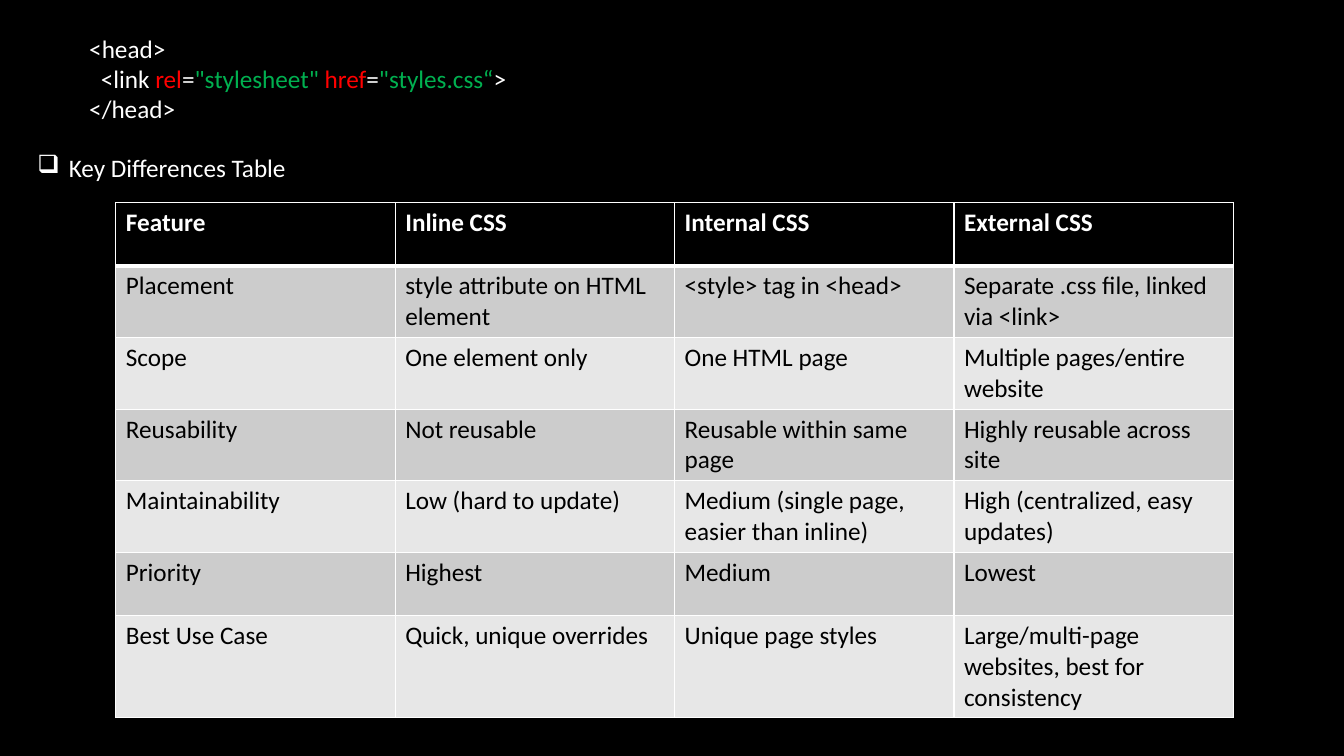
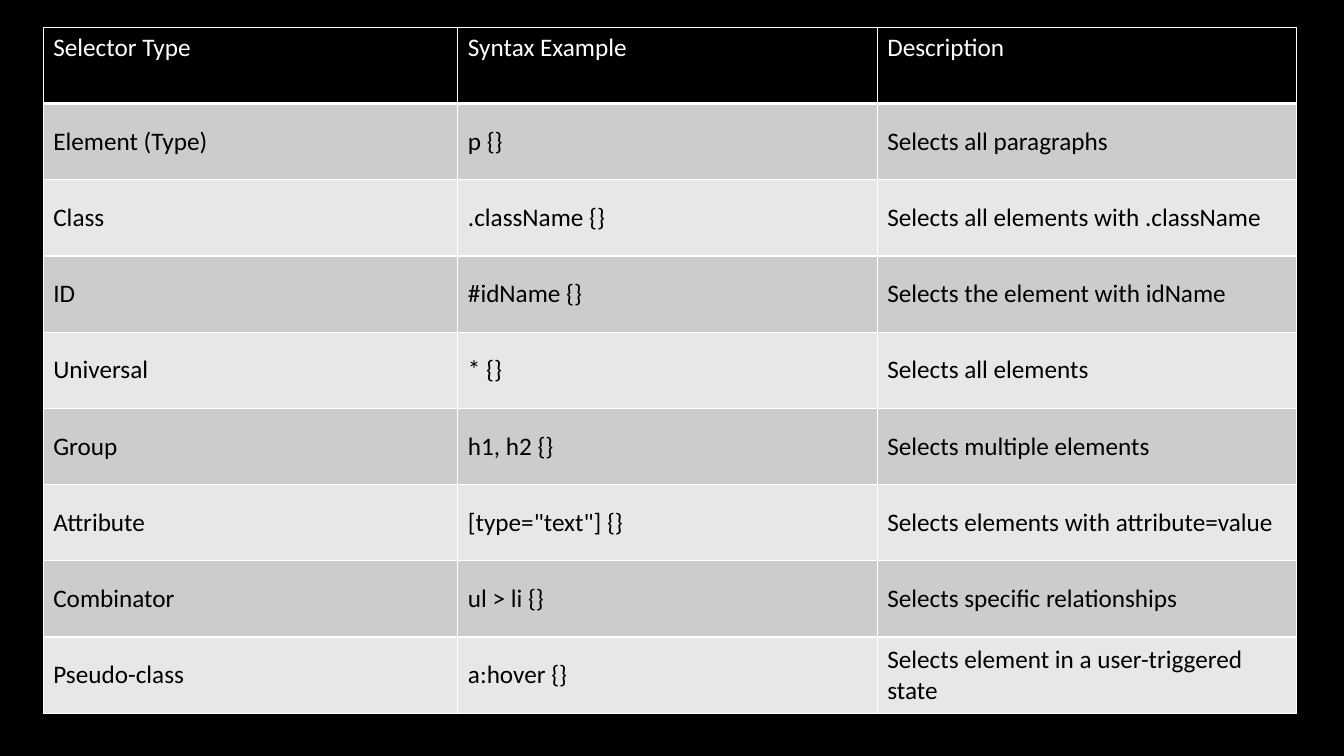
from dataclasses import dataclass

from lxml.etree import SubElement
from pptx import Presentation
from pptx.dml.color import RGBColor
from pptx.enum.shapes import MSO_SHAPE as Preset
from pptx.enum.text import MSO_ANCHOR as Anchor, MSO_AUTO_SIZE as AutoSize, PP_ALIGN as Align
from pptx.oxml.ns import qn
from pptx.slide import Slide
from pptx.table import _Cell as Cell
from pptx.util import Cm, Length, Pt

BLACK = RGBColor(0x00, 0x00, 0x00)
WHITE = RGBColor(0xFF, 0xFF, 0xFF)
RED = RGBColor(0xFF, 0x00, 0x00)
GREEN = RGBColor(0x00, 0xB0, 0x50)
BANDS = (RGBColor(0xCC, 0xCC, 0xCC), RGBColor(0xE7, 0xE7, 0xE7))
FONT = "Calibri"
TEXT_SIZE = Pt(18)
THIN, THICK = Pt(1), Pt(3)
TITLE_ONLY, BLANK = 5, 6


@dataclass(frozen=True)
class CodeLine:
    """A line of code as coloured pieces, with its indent."""
    pieces: tuple[tuple[str, RGBColor], ...]
    indent: Length = Cm(0)


@dataclass(frozen=True)
class Grid:
    """A table with its place, measures and rows, header first."""
    left: Length
    top: Length
    widths: tuple[Length, ...]
    row_height: Length
    rows: tuple[tuple[str, ...], ...]
    bold_header: bool = False
    body_anchor: Anchor = Anchor.TOP


LINK_CODE = (
    CodeLine((("<head>", WHITE),)),
    CodeLine((
        ("<link ", WHITE),
        ("rel", RED), ("=", WHITE), ('"stylesheet" ', GREEN),
        ("href", RED), ("=", WHITE), ('"styles.css“', GREEN),
        (">", WHITE),
    ), indent=Cm(0.29)),
    CodeLine((("</head>", WHITE),)),
)

DIFFERENCES = Grid(
    Cm(2.92), Cm(5.11), (Cm(7.04),) * 4, Cm(1.59),
    (
        ("Feature", "Inline CSS", "Internal CSS", "External CSS"),
        ("Placement", "style attribute on HTML element", "<style> tag in <head>",
         "Separate .css file, linked via <link>"),
        ("Scope", "One element only", "One HTML page", "Multiple pages/entire website"),
        ("Reusability", "Not reusable", "Reusable within same page", "Highly reusable across site"),
        ("Maintainability", "Low (hard to update)", "Medium (single page, easier than inline)",
         "High (centralized, easy updates)"),
        ("Priority", "Highest", "Medium", "Lowest"),
        ("Best Use Case", "Quick, unique overrides", "Unique page styles",
         "Large/multi-page websites, best for consistency"),
    ),
    bold_header=True,
)

SELECTORS = Grid(
    Cm(1.09), Cm(0.69), (Cm(10.45), Cm(10.57), Cm(10.57)), Cm(1.92),
    (
        ("Selector Type", "Syntax Example", "Description"),
        ("Element (Type)", "p {}", "Selects all paragraphs"),
        ("Class", ".className {}", "Selects all elements with .className"),
        ("ID", "#idName {}", "Selects the element with idName"),
        ("Universal", "* {}", "Selects all elements"),
        ("Group", "h1, h2 {}", "Selects multiple elements"),
        ("Attribute", '[type="text"] {}', "Selects elements with attribute=value"),
        ("Combinator", "ul > li {}", "Selects specific relationships"),
        ("Pseudo-class", "a:hover {}", "Selects element in a user-triggered state"),
    ),
    body_anchor=Anchor.MIDDLE,
)


def style_font(font, color: RGBColor | None = None, bold: bool = False) -> None:
    """Apply the shared text style."""
    font.name, font.size, font.bold = FONT, TEXT_SIZE, bold
    if color is not None:
        font.color.rgb = color


def add_code(slide: Slide, lines: tuple[CodeLine, ...]) -> None:
    """Draw the code block with coloured syntax."""
    block = slide.shapes.add_shape(Preset.RECTANGLE, Cm(2), Cm(0.71), Cm(29.7), Cm(2.57))
    block.shadow.inherit = False
    block.fill.solid()
    block.fill.fore_color.rgb = BLACK
    block.line.fill.background()
    frame = block.text_frame
    frame.word_wrap = True
    frame.vertical_anchor = Anchor.TOP
    for index, line in enumerate(lines):
        paragraph = frame.add_paragraph() if index else frame.paragraphs[0]
        paragraph.alignment = Align.LEFT
        paragraph._p.get_or_add_pPr().set("marL", str(line.indent))
        style_font(paragraph.font)
        for text, color in line.pieces:
            run = paragraph.add_run()
            run.text = text
            run.font.color.rgb = color


def add_heading(slide: Slide, text: str) -> None:
    """Place the title as a line with a box bullet."""
    title = slide.shapes.title
    title.left, title.top, title.width, title.height = Cm(0.69), Cm(3.71), Cm(31), Cm(1.02)
    frame = title.text_frame
    frame.text = text
    frame.word_wrap = True
    frame.auto_size = AutoSize.NONE
    frame.vertical_anchor = Anchor.TOP
    paragraph = frame.paragraphs[0]
    paragraph.alignment = Align.LEFT
    style_font(paragraph.font, WHITE)
    properties = paragraph._p.get_or_add_pPr()
    properties.set("marL", str(Cm(0.79)))
    properties.set("indent", str(Cm(-0.79)))
    bullet = properties.makeelement(qn("a:buChar"), {"char": "❑"})
    properties.insert(0, bullet)


def set_borders(cell: Cell, top: Length, bottom: Length) -> None:
    """Give a cell white borders."""
    properties = cell._tc.get_or_add_tcPr()
    for side, width in (("L", THIN), ("R", THIN), ("T", top), ("B", bottom)):
        line = SubElement(properties, qn(f"a:ln{side}"), w=str(width))
        fill = SubElement(line, qn("a:solidFill"))
        SubElement(fill, qn("a:srgbClr"), val=str(WHITE))


def add_grid(slide: Slide, grid: Grid) -> None:
    """Draw a table with a black header and banded rows."""
    row_count = len(grid.rows)
    table = slide.shapes.add_table(
        row_count, len(grid.widths), grid.left, grid.top,
        sum(grid.widths), grid.row_height * row_count,
    ).table
    for column, width in zip(table.columns, grid.widths):
        column.width = width
    for index, texts in enumerate(grid.rows):
        header = index == 0
        table.rows[index].height = grid.row_height
        for cell, text in zip(table.rows[index].cells, texts):
            set_borders(cell, THICK if index == 1 else THIN, THICK if header else THIN)
            cell.fill.solid()
            cell.fill.fore_color.rgb = BLACK if header else BANDS[(index - 1) % 2]
            cell.vertical_anchor = Anchor.TOP if header else grid.body_anchor
            cell.text = text
            style_font(cell.text_frame.paragraphs[0].font,
                       WHITE if header else BLACK, header and grid.bold_header)


def main() -> None:
    """Build and save the presentation."""
    presentation = Presentation()
    presentation.slide_width, presentation.slide_height = Cm(33.87), Cm(19.05)
    background = presentation.slide_master.background.fill
    background.solid()
    background.fore_color.rgb = BLACK
    layouts = presentation.slide_layouts

    differences = presentation.slides.add_slide(layouts[TITLE_ONLY])
    add_code(differences, LINK_CODE)
    add_heading(differences, "Key Differences Table")
    add_grid(differences, DIFFERENCES)

    selectors = presentation.slides.add_slide(layouts[BLANK])
    add_grid(selectors, SELECTORS)

    presentation.save("out.pptx")


if __name__ == "__main__":
    main()
